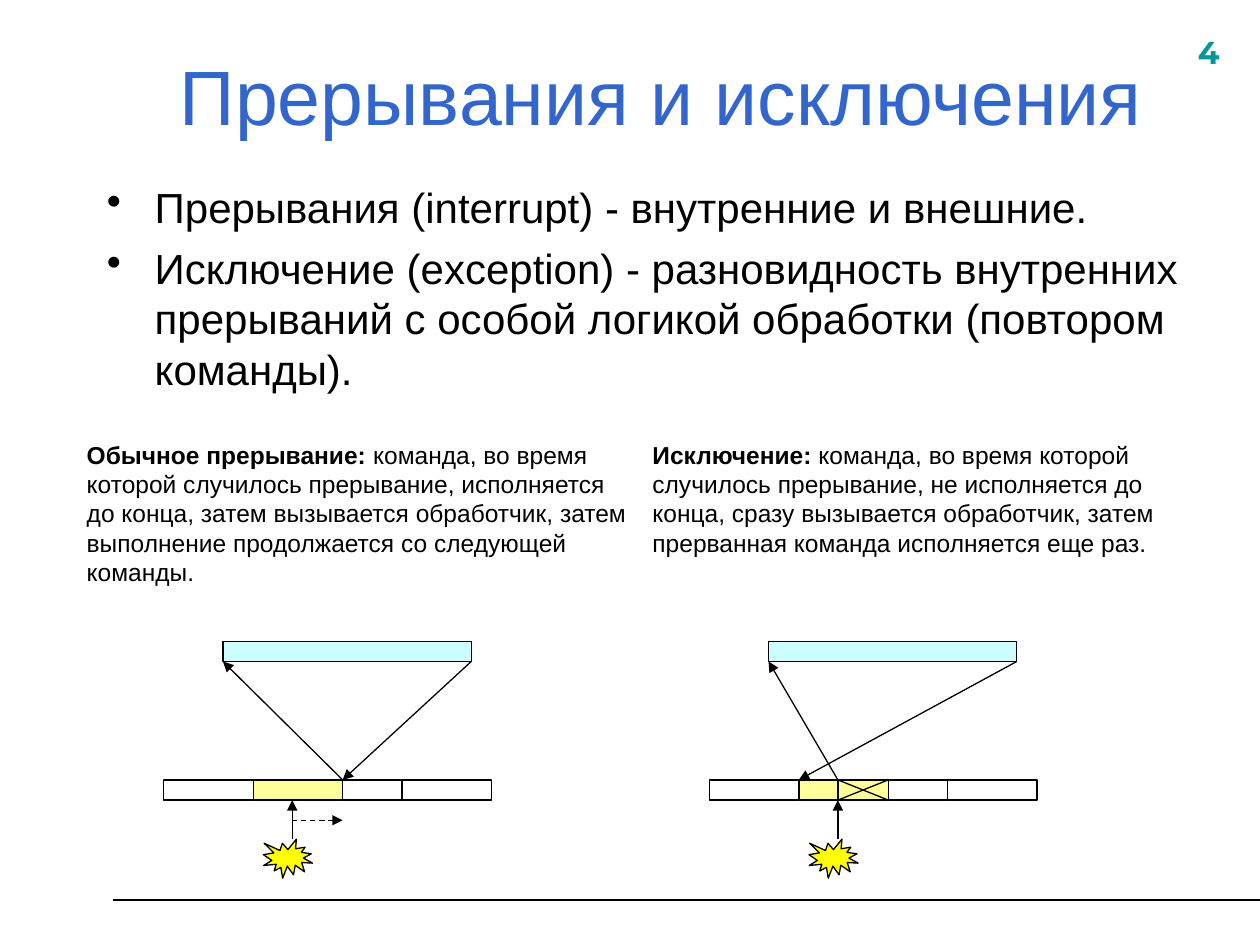
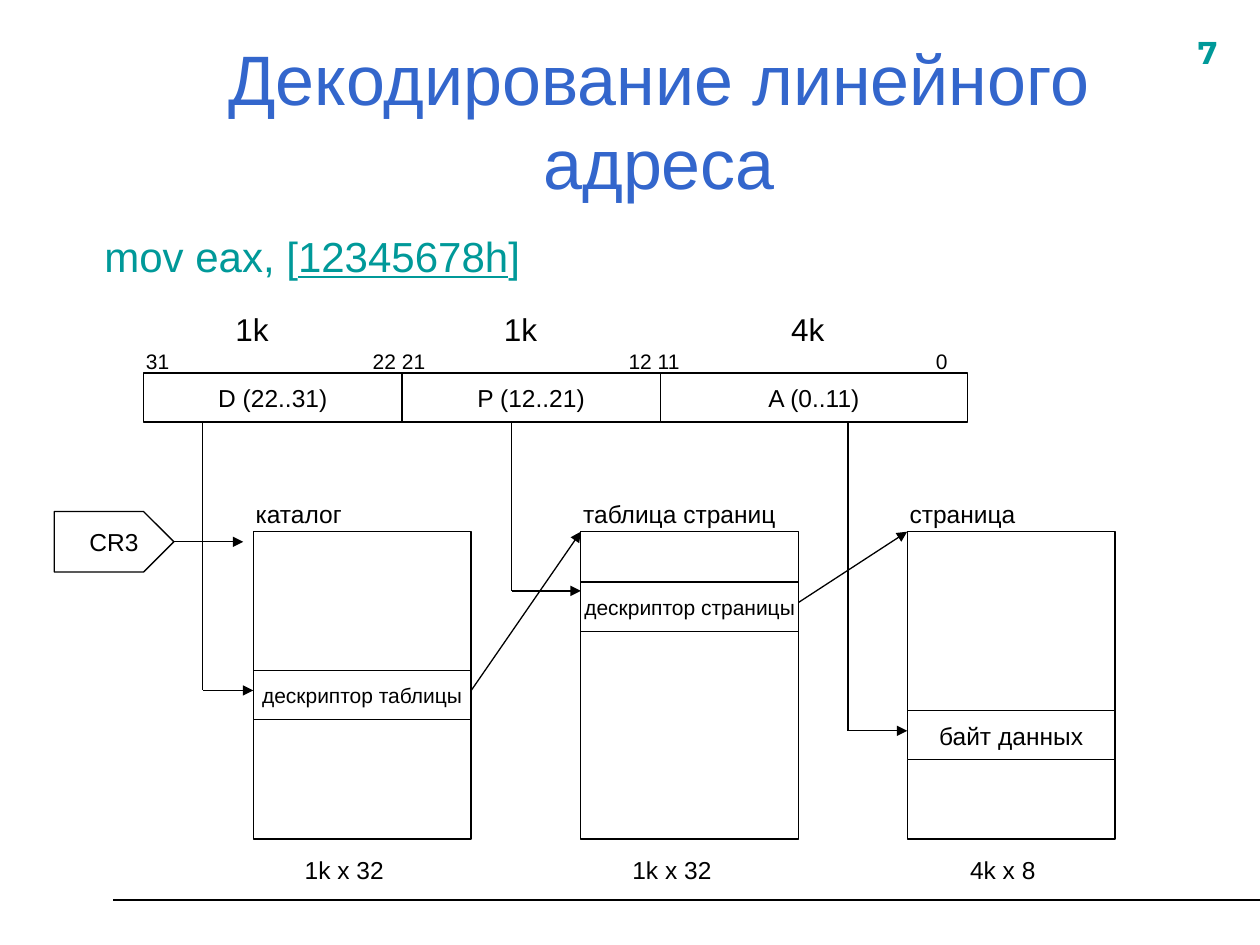
from dataclasses import dataclass
from itertools import accumulate
from typing import NamedTuple

from lxml import etree
from pptx import Presentation
from pptx import util as u
from pptx.dml.color import RGBColor
from pptx.enum import dml, shapes, text
from pptx.oxml.ns import qn


@dataclass(frozen=True)
class Theme:
    black: str = "000000"
    white: str = "FFFFFF"
    blue: str = "3366CC"
    teal: str = "009999"
    pale_yellow: str = "FFFF99"
    yellow: str = "FFFF00"
    cyan: str = "CCFFFF"
    font: str = "Arial"
    number_font: str = "Montserrat"
    title: int = 44
    long_title: int = 40
    body: int = 24
    heading: int = 18
    label: int = 14
    small: int = 12
    thin: float = 0.75
    rule: float = 1.25


T = Theme()


class Box(NamedTuple):
    x: float
    y: float
    w: float
    h: float


class Run(NamedTuple):
    text: str
    size: int = T.label
    color: str = T.black
    bold: bool = False
    underline: bool = False
    font: str = T.font


class Scenario(NamedTuple):
    x: float
    name: str
    story: str
    call_dx: float
    return_dx: float
    restarts: bool


class Field(NamedTuple):
    name: str
    width: float
    count: str
    count_x: float


class Block(NamedTuple):
    x: float
    w: float
    title: str
    capacity: str
    capacity_dx: float
    entry: Run
    entry_y: float
    tap_x: float
    tap_y: float


SCENARIOS = [
    Scenario(1.3, "Обычное прерывание:",
             " команда, во время которой случилось прерывание, исполняется до конца, "
             "затем вызывается обработчик, затем выполнение продолжается со следующей команды.",
             1.42, 1.42, False),
    Scenario(5.63, "Исключение:",
             " команда, во время которой случилось прерывание, не исполняется до конца, "
             "сразу вызывается обработчик, затем прерванная команда исполняется еще раз.",
             1.02, 0.71, True),
]
COMMANDS = [(0.71, T.white), (0.71, T.pale_yellow), (0.47, T.white), (0.71, T.white)]
FIELDS = [
    Field("D (22..31)", 2.05, "1k", 1.77),
    Field("P (12..21)", 2.05, "1k", 3.9),
    Field("A (0..11)", 2.44, "4k", 6.18),
]
BLOCKS = [
    Block(2.01, 1.73, "каталог", "1k x 32", 0.31,
          Run("дескриптор таблицы", T.small), 5.32, 1.61, 5.48),
    Block(4.61, 1.73, "таблица страниц", "1k x 32", 0.31,
          Run("дескриптор страницы", T.small), 4.62, 4.06, 4.69),
    Block(7.2, 1.65, "страница", "4k x 8", 0.4,
          Run("байт данных"), 5.64, 6.73, 5.8),
]


def rgb(color: str) -> RGBColor:
    return RGBColor.from_string(color)


def inches(values) -> list:
    return [u.Inches(v) for v in values]


def add_runs(p, runs) -> None:
    for run in runs:
        r = p.add_run()
        r.text = run.text
        f = r.font
        f.name, f.size, f.bold, f.underline = run.font, u.Pt(run.size), run.bold, run.underline
        f.color.rgb = rgb(run.color)


def add_text(s, box: Box, *paragraphs, align=text.PP_ALIGN.LEFT,
             anchor=text.MSO_ANCHOR.TOP, bullets: bool = False, tabs=()):
    tf = s.shapes.add_textbox(*inches(box)).text_frame
    tf.word_wrap = True
    tf.vertical_anchor = anchor
    for i, runs in enumerate(paragraphs):
        p = tf.add_paragraph() if i else tf.paragraphs[0]
        p.alignment = align
        p_pr = p._p.get_or_add_pPr()
        if bullets:
            p_pr.set("marL", str(u.Inches(0.38)))
            p_pr.set("indent", str(u.Inches(-0.38)))
            etree.SubElement(p_pr, qn("a:buChar"), char="•")
        if tabs:
            stops = etree.SubElement(p_pr, qn("a:tabLst"))
            for stop in tabs:
                etree.SubElement(stops, qn("a:tab"), pos=str(u.Inches(stop)), algn="l")
        if i:
            p.space_before = u.Pt(6)
        add_runs(p, runs)


def style_shape(sp, fill: str, label: Run | None = None):
    sp.shadow.inherit = False
    sp.fill.solid()
    sp.fill.fore_color.rgb = rgb(fill)
    sp.line.color.rgb = rgb(T.black)
    sp.line.width = u.Pt(T.thin)
    if label:
        tf = sp.text_frame
        tf.word_wrap = False
        tf.vertical_anchor = text.MSO_ANCHOR.MIDDLE
        p = tf.paragraphs[0]
        p.alignment = text.PP_ALIGN.CENTER
        add_runs(p, [label])


def add_shape(s, box: Box, fill: str = T.white, label: Run | None = None,
              kind=shapes.MSO_SHAPE.RECTANGLE) -> None:
    style_shape(s.shapes.add_shape(kind, *inches(box)), fill, label)


def add_line(s, start: tuple, end: tuple, arrow: bool = False,
             dashed: bool = False, width: float = T.thin) -> None:
    c = s.shapes.add_connector(shapes.MSO_CONNECTOR.STRAIGHT, *inches(start + end))
    c.line.color.rgb = rgb(T.black)
    c.line.width = u.Pt(width)
    if dashed:
        c.line.dash_style = dml.MSO_LINE.DASH
    if arrow:
        etree.SubElement(c.line._get_or_add_ln(), qn("a:tailEnd"), type="triangle")
    etree.SubElement(c._element.spPr, qn("a:effectLst"))


def add_slide(prs, number: str, title: str, title_box: Box, title_size: int):
    s = prs.slides.add_slide(prs.slide_layouts[6])
    add_line(s, (0.9, 7.14), (10, 7.14), width=T.rule)
    add_text(s, Box(9.41, 0.21, 0.63, 0.44),
             [Run(number, T.heading, T.teal, bold=True, font=T.number_font)])
    add_text(s, title_box, [Run(title, title_size, T.blue)],
             align=text.PP_ALIGN.CENTER, anchor=text.MSO_ANCHOR.MIDDLE)
    return s


def draw_scenario(s, sc: Scenario) -> None:
    top, bottom, handler_bottom = 6.19, 6.35, 5.25
    hit, next_command = sc.x + 1.02, sc.x + 1.42
    handler = Box(sc.x + 0.47, 5.09, 1.97, 0.16)
    offsets = accumulate((w for w, _ in COMMANDS), initial=sc.x)
    for x, (w, fill) in zip(offsets, COMMANDS):
        add_shape(s, Box(x, top, w, 0.16), fill)
    add_line(s, (hit, 6.66), (hit, bottom), arrow=True)
    add_shape(s, Box(sc.x + 0.79, 6.66, 0.39, 0.31), T.yellow,
              kind=shapes.MSO_SHAPE.EXPLOSION1)
    add_line(s, (sc.x + sc.call_dx, top), (handler.x, handler_bottom), arrow=True)
    add_shape(s, handler, T.cyan)
    add_line(s, (handler.x + handler.w, handler_bottom), (sc.x + sc.return_dx, top), arrow=True)
    if sc.restarts:
        add_line(s, (hit, bottom), (next_command, top))
        add_line(s, (hit, top), (next_command, bottom))
        add_line(s, (hit, top), (hit, bottom))
    else:
        add_line(s, (hit, 6.51), (next_command, 6.51), arrow=True, dashed=True)


def build_interrupts(prs) -> None:
    s = add_slide(prs, "4", "Прерывания и исключения", Box(0.75, 0.28, 9, 0.95), T.title)
    add_text(s, Box(0.75, 1.39, 9, 1.81),
             [Run("Прерывания (interrupt) - внутренние и внешние.", T.body)],
             [Run("Исключение (exception) - разновидность внутренних прерываний "
                  "с особой логикой обработки (повтором команды).", T.body)],
             bullets=True)
    for sc, x in zip(SCENARIOS, (0.59, 5.08)):
        add_text(s, Box(x, 3.44, 4.57, 1.27), [Run(sc.name, bold=True), Run(sc.story)])
        draw_scenario(s, sc)


def draw_register(s) -> None:
    outline = [(0.43, 4.06), (1.14, 4.06), (1.38, 4.3), (1.14, 4.54), (0.43, 4.54)]
    points = [tuple(inches(point)) for point in outline]
    builder = s.shapes.build_freeform(*points[0])
    builder.add_line_segments(points[1:], close=True)
    style_shape(builder.convert_to_shape(), T.white, Run("CR3"))
    add_line(s, (1.38, 4.3), (1.93, 4.3), arrow=True)


def build_address_decoding(prs) -> None:
    s = add_slide(prs, "7", "Декодирование линейного адреса",
                  Box(0.73, 0.32, 9, 1.25), T.long_title)
    add_text(s, Box(0.73, 1.78, 9, 0.55),
             [Run("mov eax, [", T.body, T.teal),
              Run("12345678h", T.body, T.teal, underline=True),
              Run("]", T.body, T.teal)])
    for x, field in zip(accumulate((f.width for f in FIELDS), initial=1.14), FIELDS):
        add_shape(s, Box(x, 2.96, field.width, 0.39), label=Run(field.name))
        add_text(s, Box(field.count_x, 2.41, 0.63, 0.4), [Run(field.count, T.heading)])
    add_text(s, Box(1.06, 2.72, 7.32, 0.3),
             [Run("31\t22 21\t12 11\t0", T.small)], tabs=(1.8, 3.83, 6.27))
    top = 4.22
    for b in BLOCKS:
        add_shape(s, Box(b.x, top, b.w, 2.44))
        add_text(s, Box(b.x - 0.08, 3.91, 1.81, 0.34), [Run(b.title)])
        add_shape(s, Box(b.x, b.entry_y, b.w, 0.39), label=b.entry)
        add_text(s, Box(b.x + b.capacity_dx, 6.74, 1.02, 0.34), [Run(b.capacity)])
        add_line(s, (b.tap_x, 3.36), (b.tap_x, b.tap_y))
        add_line(s, (b.tap_x, b.tap_y), (b.x, b.tap_y), arrow=True)
    for b, target in zip(BLOCKS, BLOCKS[1:]):
        add_line(s, (b.x + b.w, b.entry_y + 0.16), (target.x, top), arrow=True)
    draw_register(s)


def main() -> None:
    prs = Presentation()
    prs.slide_width, prs.slide_height = inches((10, 7.5))
    build_interrupts(prs)
    build_address_decoding(prs)
    prs.save("out.pptx")


if __name__ == "__main__":
    main()
